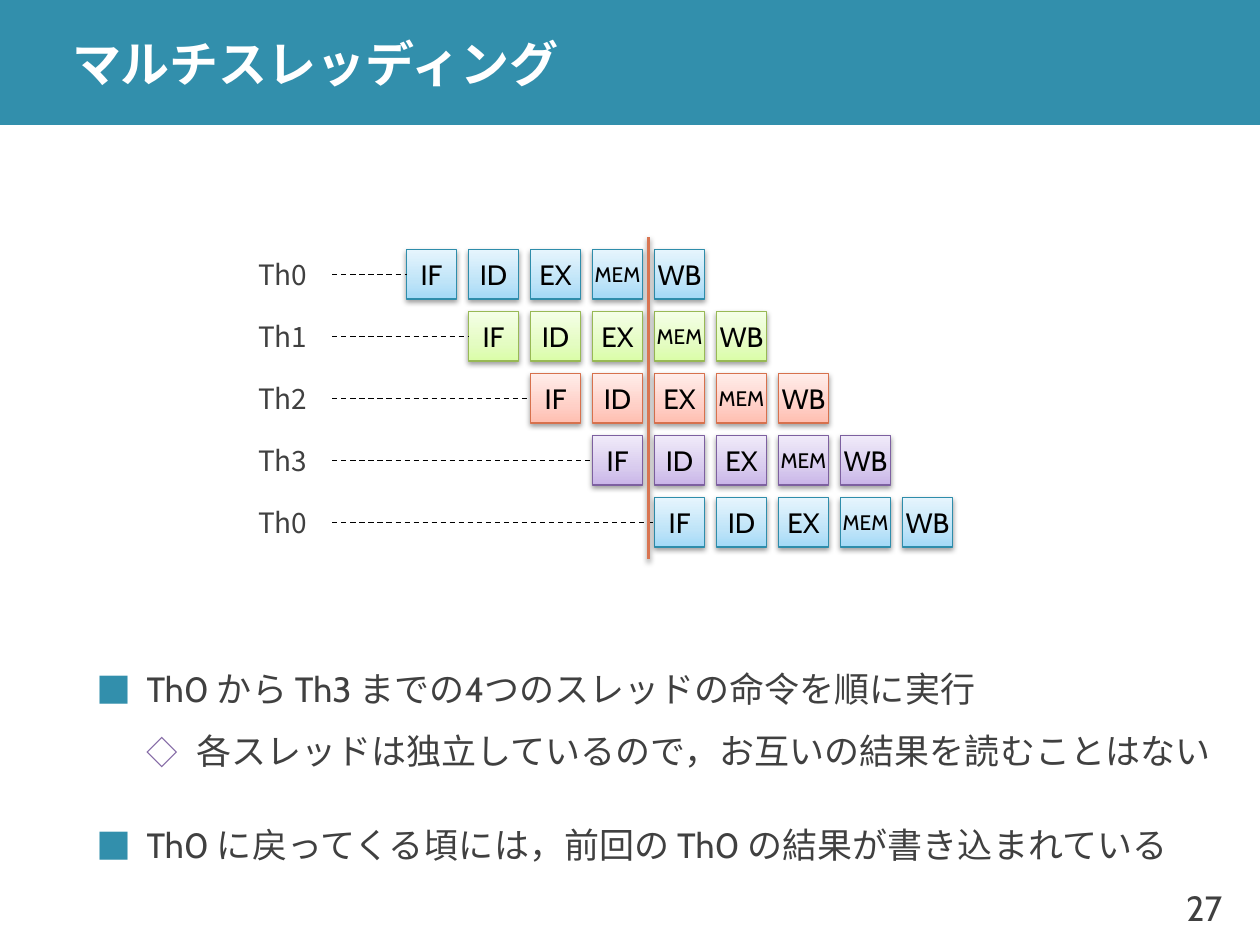
from copy import deepcopy
from dataclasses import dataclass

from lxml.etree import SubElement
from pptx import Presentation
from pptx.dml.color import RGBColor
from pptx.enum.dml import MSO_LINE
from pptx.enum.shapes import MSO_CONNECTOR, MSO_SHAPE
from pptx.enum.text import MSO_ANCHOR, MSO_AUTO_SIZE, PP_ALIGN
from pptx.oxml.ns import qn
from pptx.shapes.autoshape import Shape
from pptx.shapes.connector import Connector
from pptx.slide import Slide
from pptx.text.text import TextFrame, _Paragraph
from pptx.util import Pt

LATIN_FONT = "Cabin"
JAPANESE_FONT = "Noto Sans CJK JP"
TEXT_COLOR = "404040"

STAGES = ["IF", "ID", "EX", "MEM", "WB"]
BOX = 28.35
PITCH = 35.43
GRID_LEFT = 232.44
GRID_TOP = 142.6
LABEL_LEFT = 133.2
LABEL_WIDTH = 56.7


@dataclass
class Palette:
    stops: tuple[str, str, str]
    line: str


@dataclass
class Thread:
    name: str
    palette: Palette


@dataclass
class Bullet:
    text: str
    level: int = 0


@dataclass
class BulletStyle:
    character: str
    color: str
    size_percent: int
    indent: float
    space_before: float
    space_after: float


BLUE = Palette(("A2D9F7", "BFE4F8", "E6F5FD"), "2E8DAB")
GREEN = Palette(("DAFDA7", "E4FCC2", "F5FFE7"), "98B955")
RED = Palette(("FFBEB0", "FFD0C7", "FFEDEA"), "D7714D")
PURPLE = Palette(("C9B5E8", "D8CBEE", "F0EAF9"), "7D60A0")

THREADS = [
    Thread("Th0", BLUE),
    Thread("Th1", GREEN),
    Thread("Th2", RED),
    Thread("Th3", PURPLE),
    Thread("Th0", BLUE),
]

BULLETS = [
    Bullet("Th0 から Th3 までの4つのスレッドの命令を順に実行"),
    Bullet("各スレッドは独立しているので，お互いの結果を読むことはない", 1),
    Bullet("Th0 に戻ってくる頃には，前回の Th0 の結果が書き込まれている"),
]
BULLET_STYLES = [
    BulletStyle("■", "328FAC", 100, 28.35, 24, 6),
    BulletStyle("◇", "8064A2", 90, 56.7, 3, 3),
]


def rgb(color: str) -> RGBColor:
    return RGBColor.from_string(color)


def format_runs(paragraph: _Paragraph, size: float, color: str,
                font: str = LATIN_FONT, bold: bool = False) -> None:
    for run in paragraph.runs:
        run.font.size = Pt(size)
        run.font.bold = bold
        run.font.color.rgb = rgb(color)
        run.font.name = font
        east_asian = SubElement(run.font._element, qn("a:ea"))
        east_asian.set("typeface", JAPANESE_FONT)


def set_frame(frame: TextFrame, horizontal: float, vertical: float, wrap: bool) -> None:
    frame.auto_size = MSO_AUTO_SIZE.NONE
    frame.word_wrap = wrap
    frame.vertical_anchor = MSO_ANCHOR.MIDDLE
    frame.margin_left = frame.margin_right = Pt(horizontal)
    frame.margin_top = frame.margin_bottom = Pt(vertical)


def place(shape: Shape, left: float, top: float, width: float, height: float) -> None:
    shape.left, shape.top = Pt(left), Pt(top)
    shape.width, shape.height = Pt(width), Pt(height)


def set_shadow(shape: Shape | Connector, visible: bool) -> None:
    """Replace the theme shadow by a soft one below the shape, or by none."""
    effects = SubElement(shape._element.spPr, qn("a:effectLst"))
    if visible:
        shadow = SubElement(effects, qn("a:outerShdw"), blurRad=str(Pt(3.1)),
                            dist=str(Pt(1.6)), dir="5400000", rotWithShape="0")
        color = SubElement(shadow, qn("a:srgbClr"), val="000000")
        SubElement(color, qn("a:alpha"), val="38000")


def add_text(slide: Slide, text: str, left: float, top: float, width: float, height: float,
             size: float, font: str, alignment: PP_ALIGN) -> Shape:
    shape = slide.shapes.add_textbox(Pt(left), Pt(top), Pt(width), Pt(height))
    set_frame(shape.text_frame, 0, 0, wrap=False)
    paragraph = shape.text_frame.paragraphs[0]
    paragraph.text = text
    paragraph.alignment = alignment
    format_runs(paragraph, size, TEXT_COLOR, font)
    return shape


def add_stage(slide: Slide, stage: str, left: float, top: float, palette: Palette) -> Shape:
    shape = slide.shapes.add_shape(MSO_SHAPE.RECTANGLE, Pt(left), Pt(top), Pt(BOX), Pt(BOX))
    shape.fill.gradient()
    shape.fill.gradient_angle = 90
    stop_list = shape._element.spPr.find(f".//{qn('a:gsLst')}")
    stop_list.insert(1, deepcopy(stop_list[0]))
    for stop, position, color in zip(shape.fill.gradient_stops, (0, 0.35, 1), palette.stops):
        stop.position = position
        stop.color.rgb = rgb(color)
    shape.line.color.rgb = rgb(palette.line)
    shape.line.width = Pt(0.75)
    set_shadow(shape, True)
    set_frame(shape.text_frame, 7.2, 3.6, wrap=False)
    paragraph = shape.text_frame.paragraphs[0]
    paragraph.text = stage
    paragraph.alignment = PP_ALIGN.CENTER
    format_runs(paragraph, 12 if stage == "MEM" else 16, "000000")
    return shape


def add_line(slide: Slide, x1: float, y1: float, x2: float, y2: float,
             color: str, width: float, shadow: bool) -> Connector:
    line = slide.shapes.add_connector(MSO_CONNECTOR.STRAIGHT, Pt(x1), Pt(y1), Pt(x2), Pt(y2))
    line.line.color.rgb = rgb(color)
    line.line.width = Pt(width)
    set_shadow(line, shadow)
    return line


def add_thread(slide: Slide, row: int, thread: Thread) -> None:
    """Draw one pipeline row, shifted one stage right for each row above."""
    top = GRID_TOP + row * PITCH
    label = add_text(slide, thread.name, LABEL_LEFT, top, LABEL_WIDTH, BOX,
                     16, JAPANESE_FONT, PP_ALIGN.CENTER)
    boxes = [add_stage(slide, stage, GRID_LEFT + (row + column) * PITCH, top, thread.palette)
             for column, stage in enumerate(STAGES)]
    middle = top + BOX / 2
    wait = add_line(slide, LABEL_LEFT + LABEL_WIDTH, middle, GRID_LEFT + row * PITCH, middle,
                    "000000", 0.75, shadow=False)
    wait.line.dash_style = MSO_LINE.DASH
    wait.begin_connect(label, 3)
    wait.end_connect(boxes[0], 1)


def write_bullet(paragraph: _Paragraph, bullet: Bullet, first: bool) -> None:
    style = BULLET_STYLES[bullet.level]
    paragraph.text = bullet.text
    paragraph.level = bullet.level
    paragraph.line_spacing = 1.1
    paragraph.space_before = Pt(0 if first else style.space_before)
    paragraph.space_after = Pt(style.space_after)
    properties = paragraph._p.get_or_add_pPr()
    properties.set("marL", str(Pt(style.indent)))
    properties.set("indent", str(Pt(-28.35)))
    color = SubElement(properties, qn("a:buClr"))
    SubElement(color, qn("a:srgbClr"), val=style.color)
    SubElement(properties, qn("a:buSzPct"), val=str(style.size_percent * 1000))
    SubElement(properties, qn("a:buFont"), typeface=JAPANESE_FONT)
    SubElement(properties, qn("a:buChar"), char=style.character)
    format_runs(paragraph, 20, TEXT_COLOR)


def add_header(slide: Slide) -> None:
    band = slide.shapes.add_shape(MSO_SHAPE.RECTANGLE, 0, 0, Pt(720), Pt(71.4))
    band.fill.solid()
    band.fill.fore_color.rgb = rgb("328FAC")
    band.line.fill.background()
    band.shadow.inherit = False
    slide.shapes._spTree.insert(2, band._element)
    title = slide.shapes.title
    place(title, 34, 0, 686, 71.4)
    set_frame(title.text_frame, 7.2, 0, wrap=True)
    paragraph = title.text_frame.paragraphs[0]
    paragraph.text = "マルチスレッディング"
    paragraph.alignment = PP_ALIGN.LEFT
    format_runs(paragraph, 28, "FFFFFF", bold=True)


def add_body(slide: Slide) -> None:
    body = slide.placeholders[1]
    place(body, 48.2, 376.6, 652.3, 120.2)
    frame = body.text_frame
    set_frame(frame, 7.2, 3.6, wrap=True)
    for index, bullet in enumerate(BULLETS):
        paragraph = frame.add_paragraph() if index else frame.paragraphs[0]
        write_bullet(paragraph, bullet, first=index == 0)


def main() -> None:
    presentation = Presentation()
    presentation.slide_width, presentation.slide_height = Pt(720), Pt(540)
    slide = presentation.slides.add_slide(presentation.slide_layouts[1])
    add_header(slide)
    add_body(slide)
    for row, thread in enumerate(THREADS):
        add_thread(slide, row, thread)
    marker = GRID_LEFT + 4 * PITCH - (PITCH - BOX) / 2
    add_line(slide, marker, 135.5, marker, 319.7, "D87552", 2, shadow=True)
    add_text(slide, "27", 657.4, 496.8, 41, 43.2, 20, LATIN_FONT, PP_ALIGN.RIGHT)
    presentation.save("out.pptx")


if __name__ == "__main__":
    main()
